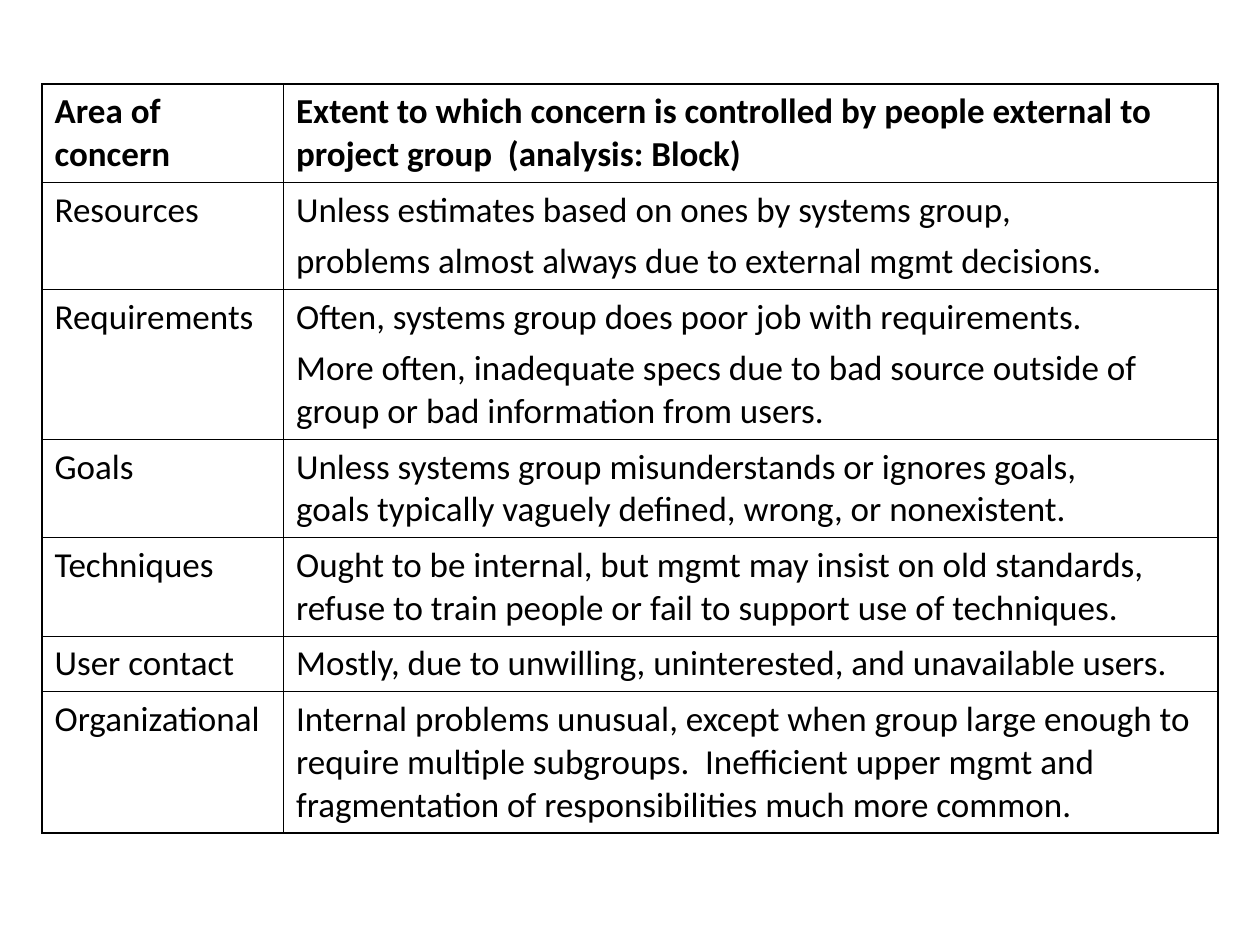
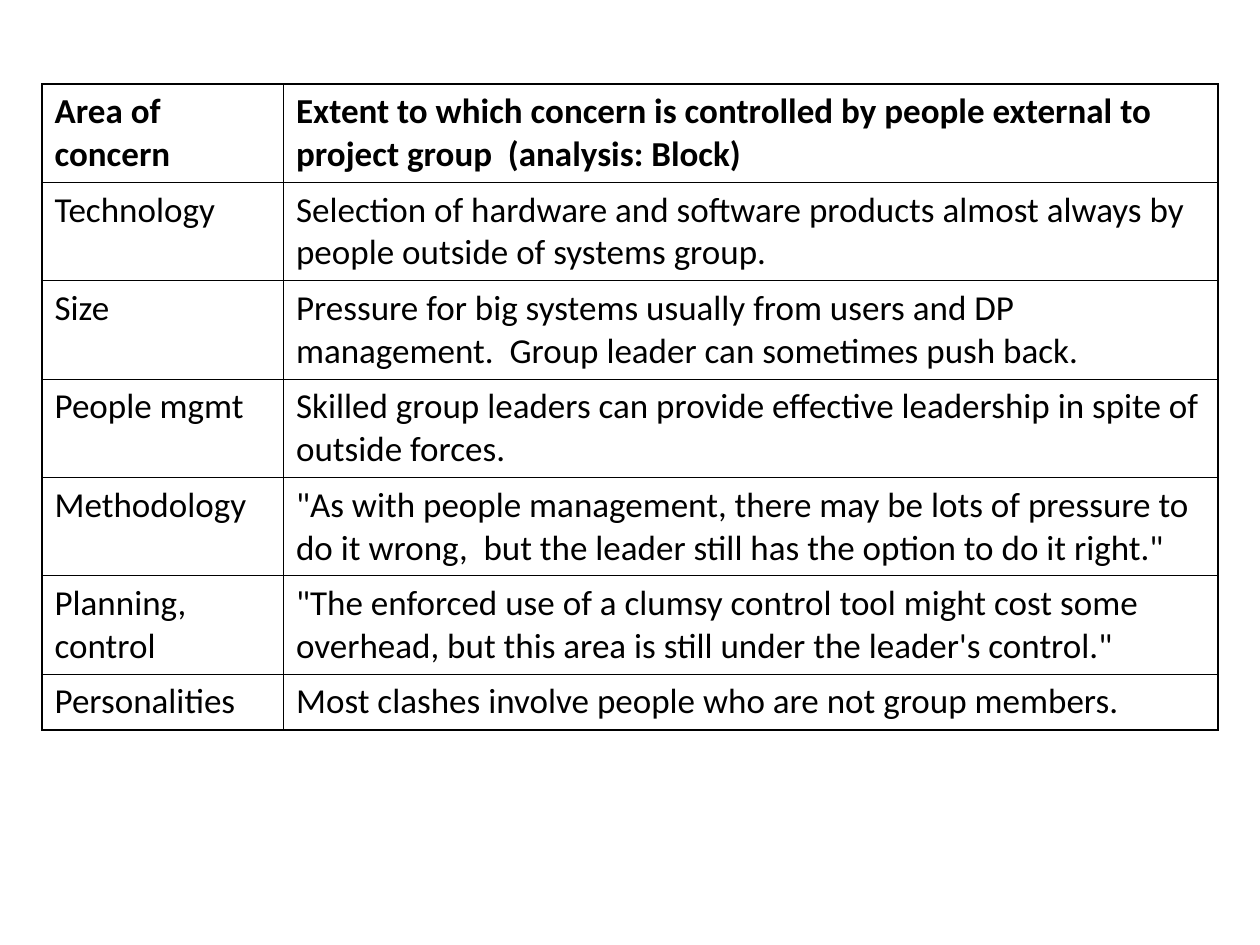
from lxml import etree
from pptx import Presentation
from pptx import util as u
from pptx.dml.color import RGBColor
from pptx.oxml.ns import qn

COLORS = {"ink": "000000"}
FONT = "Calibri"
OUTER, INNER = 1.08, 0.45
LINE_HEIGHT, PARAGRAPH_GAP, CELL_PADDING = 24.4, 5, 7.2
TABLE_LEFT, TABLE_TOP = 24, 48
COLUMN_WIDTHS = (138, 534)

# Each row: area, paragraphs about it, number of text lines.
HEADER = ("Area of concern", [
    "Extent to which concern is controlled by people external to project group  (analysis: Block)"], 2)

EXTERNAL_CONCERNS = [
    ("Resources", ["Unless estimates based on ones by systems group,",
                   "problems almost always due to external mgmt decisions."], 2),
    ("Requirements", ["Often, systems group does poor job with requirements.",
                      "More often, inadequate specs due to bad source outside of group "
                      "or bad information from users."], 3),
    ("Goals", ["Unless systems group misunderstands or ignores goals,\n"
               "goals typically vaguely defined, wrong, or nonexistent."], 2),
    ("Techniques", ["Ought to be internal, but mgmt may insist on old standards,  "
                    "refuse to train people or fail to support use of techniques."], 2),
    ("User contact", ["Mostly, due to unwilling, uninterested, and unavailable users."], 1),
    ("Organizational", ["Internal problems unusual, except when group large enough to require "
                        "multiple subgroups.  Inefficient upper mgmt and fragmentation of "
                        "responsibilities much more common."], 3),
]

LEADER_CONCERNS = [
    ("Technology", ["Selection of hardware and software products almost always by people "
                    "outside of systems group."], 2),
    ("Size", ["Pressure for big systems usually from users and DP management.  "
              "Group leader can sometimes push back."], 2),
    ("People mgmt", ["Skilled group leaders can provide effective leadership in spite of "
                     "outside forces."], 2),
    ("Methodology", ['"As with people management, there may be lots of pressure to do it wrong,  '
                     'but the leader still has the option to do it right."'], 2),
    ("Planning, control", ['"The enforced use of a clumsy control tool might cost some overhead, '
                           'but this area is still under the leader\'s control."'], 2),
    ("Personalities", ["Most clashes involve people who are not group members."], 1),
]


def set_borders(cell, widths):
    """Draw solid borders; widths are points for left, right, top, bottom."""
    tc_pr = cell._tc.get_or_add_tcPr()
    for i, (side, width) in enumerate(zip("LRTB", widths)):
        ln = etree.Element(qn(f"a:ln{side}"), w=str(u.Pt(width)))
        fill = etree.SubElement(ln, qn("a:solidFill"))
        etree.SubElement(fill, qn("a:srgbClr"), val=COLORS["ink"])
        tc_pr.insert(i, ln)


def fill_cell(cell, paragraphs, is_header):
    cell.fill.background()
    cell.margin_left = cell.margin_right = u.Pt(CELL_PADDING)
    cell.margin_top = cell.margin_bottom = u.Pt(CELL_PADDING / 2)
    tf = cell.text_frame
    for i, words in enumerate(paragraphs):
        p = tf.add_paragraph() if i else tf.paragraphs[0]
        p.text = words
        p.font.name, p.font.size, p.font.bold = FONT, u.Pt(20), is_header
        p.font.color.rgb = RGBColor.from_string(COLORS["ink"])
        if is_header:
            p.space_after = u.Pt(1.2)
        else:
            p.space_before = u.Pt(PARAGRAPH_GAP)


def row_height(paragraphs, lines):
    return CELL_PADDING + LINE_HEIGHT * lines + PARAGRAPH_GAP * (len(paragraphs) - 1)


def add_concern_table(s, left, top, concerns):
    rows = [HEADER, *concerns]
    heights = [row_height(paragraphs, lines) for _, paragraphs, lines in rows]
    table = s.shapes.add_table(len(rows), len(COLUMN_WIDTHS), u.Pt(left), u.Pt(top),
                               u.Pt(sum(COLUMN_WIDTHS)), u.Pt(sum(heights))).table
    table.horz_banding = False
    for column, width in zip(table.columns, COLUMN_WIDTHS):
        column.width = u.Pt(width)
    last = len(rows) - 1
    for r, (area, paragraphs, _) in enumerate(rows):
        table.rows[r].height = u.Pt(heights[r])
        for c, content in enumerate(([area], paragraphs)):
            cell = table.cell(r, c)
            fill_cell(cell, content, r == 0)
            at_edge = (c == 0, c == 1, r == 0, r == last)
            set_borders(cell, [OUTER if edge else INNER for edge in at_edge])


def main():
    prs = Presentation()
    prs.slide_width, prs.slide_height = u.Pt(720), u.Pt(540)
    for concerns in (EXTERNAL_CONCERNS, LEADER_CONCERNS):
        s = prs.slides.add_slide(prs.slide_layouts[6])
        add_concern_table(s, TABLE_LEFT, TABLE_TOP, concerns)
    prs.save("out.pptx")


if __name__ == "__main__":
    main()
